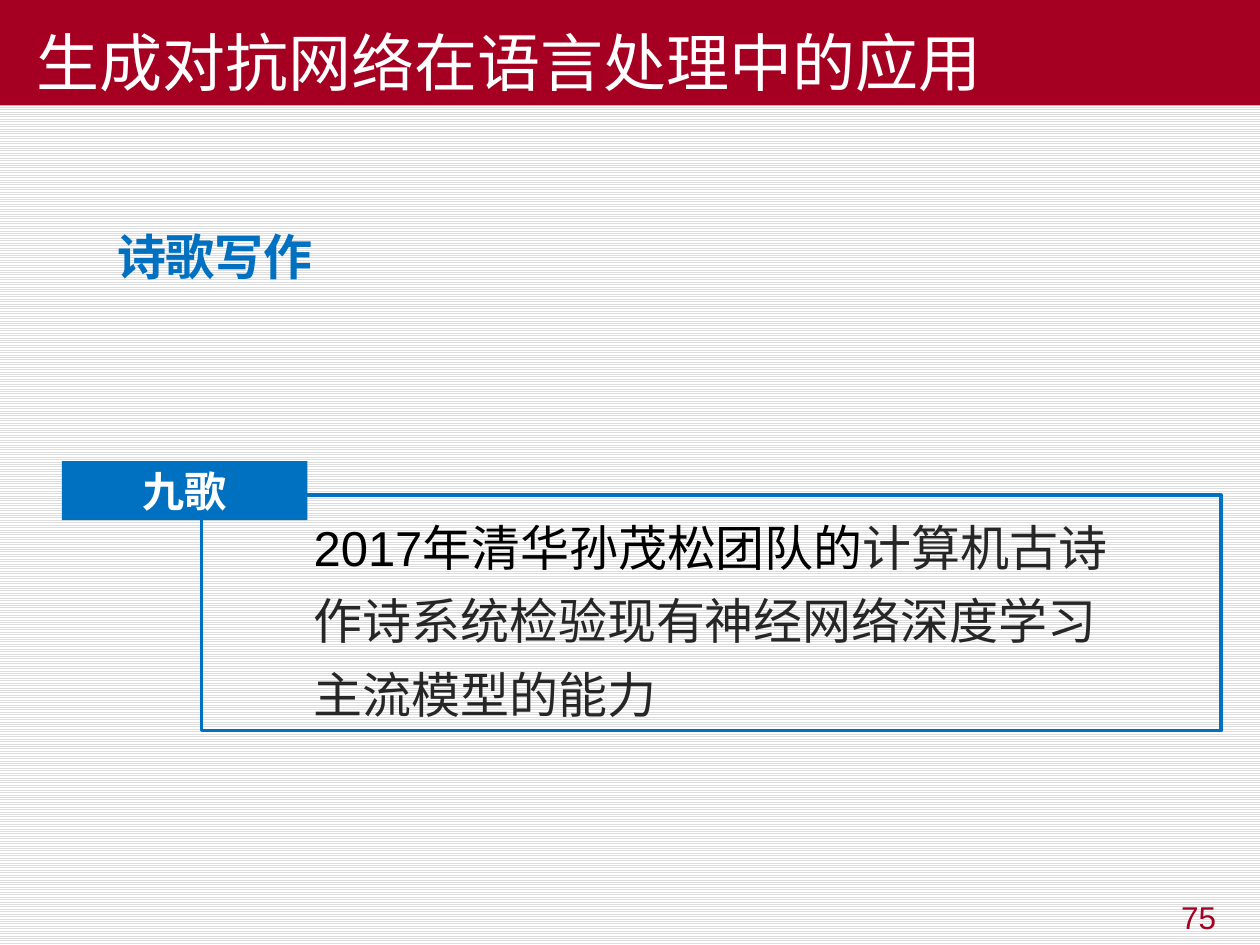
from dataclasses import dataclass

from lxml import etree
from pptx import Presentation
from pptx.dml import color as clr
from pptx.enum import dml, shapes, text
from pptx.oxml import ns
from pptx.util import Pt

HUES = {"red": "A50021", "blue": "0070C0", "white": "FFFFFF", "grey": "DDDDDD",
        "ink": "262626", "black": "000000"}
SANS, CJK, SERIF = "Arial", "Noto Sans CJK SC", "Times New Roman"
LEFT, MID, RIGHT = text.PP_ALIGN.LEFT, text.PP_ALIGN.CENTER, text.PP_ALIGN.RIGHT
TOP, CENTRE, BASE = (text.MSO_ANCHOR.TOP, text.MSO_ANCHOR.MIDDLE,
                     text.MSO_ANCHOR.BOTTOM)


@dataclass
class Box:
    """Place of a part, in points."""
    x: float
    y: float
    w: float
    h: float


@dataclass
class Style:
    size: float
    font: str
    hue: str
    bold: bool = False


def tint(name: str) -> clr.RGBColor:
    return clr.RGBColor.from_string(HUES[name])


def add_run(para, words: str, style: Style) -> None:
    run = para.add_run()
    run.text = words
    font = run.font
    font.size, font.name, font.bold = Pt(style.size), style.font, style.bold
    font.color.rgb = tint(style.hue)
    if style.font == CJK:
        etree.SubElement(run._r.get_or_add_rPr(), ns.qn("a:ea"), typeface=CJK)


def write(shape, lines: list, align=LEFT, anchor=TOP, inset: float = 0,
          pitch: float = 0) -> None:
    """Fill a shape with lines, each a list of (words, style) runs."""
    frame = shape.text_frame
    frame.word_wrap = True
    frame.auto_size = text.MSO_AUTO_SIZE.NONE
    frame.vertical_anchor = anchor
    for i, runs in enumerate(lines):
        para = frame.add_paragraph() if i else frame.paragraphs[0]
        para.alignment = align
        props = para._p.get_or_add_pPr()
        props.set("marL", str(Pt(inset)))
        props.set("indent", "0")
        if pitch:
            para.line_spacing = Pt(pitch)
        for words, style in runs:
            add_run(para, words, style)


def add_rect(slide, box: Box, fill: str = "", line: str = ""):
    rect = slide.shapes.add_shape(shapes.MSO_SHAPE.RECTANGLE, Pt(box.x),
                                  Pt(box.y), Pt(box.w), Pt(box.h))
    rect.shadow.inherit = False
    if fill:
        rect.fill.solid()
        rect.fill.fore_color.rgb = tint(fill)
    else:
        rect.fill.background()
    if line:
        rect.line.color.rgb = tint(line)
        rect.line.width = Pt(2)
    else:
        rect.line.fill.background()
    return rect


def add_label(slide, box: Box):
    return slide.shapes.add_textbox(Pt(box.x), Pt(box.y), Pt(box.w), Pt(box.h))


def main() -> None:
    deck = Presentation()
    deck.slide_width, deck.slide_height = Pt(720), Pt(540)
    slide = deck.slides.add_slide(deck.slide_layouts[5])

    # Striped background
    back = slide.background.fill
    back.patterned()
    back.pattern = dml.MSO_PATTERN.LIGHT_HORIZONTAL
    back.fore_color.rgb, back.back_color.rgb = tint("grey"), tint("white")

    # Title band
    title = slide.shapes.title
    title.left, title.top, title.width, title.height = Pt(0), Pt(0), Pt(720), Pt(60.3)
    title.fill.solid()
    title.fill.fore_color.rgb = tint("red")
    write(title, [[("生成对抗网络在语言处理中的应用", Style(36, SERIF, "white"))]],
          anchor=BASE, inset=13.7)

    # Page number
    write(add_label(slide, Box(545.8, 509.8, 156.2, 28)),
          [[("75", Style(18, SANS, "red"))]], RIGHT)

    # Framed description
    plain = Style(28, CJK, "ink")
    frame = add_rect(slide, Box(115.2, 283, 582.5, 134.6), line="blue")
    write(frame, [
        [("2017年清华孙茂松团队的", Style(28, SANS, "black")), ("计算机古诗", plain)],
        [("作诗系统检验现有神经网络深度学习", plain)],
        [("主流模型的能力", plain)],
    ], anchor=CENTRE, inset=56.9, pitch=42)

    # Name tag on the frame
    tag = add_rect(slide, Box(35.3, 263.5, 140.4, 33.8), fill="blue")
    write(tag, [[("九歌", Style(24, CJK, "white", True))]], MID, CENTRE)

    # Section heading
    write(add_label(slide, Box(59.8, 126, 542.9, 41)),
          [[("诗歌写作", Style(28, CJK, "blue", True))]])

    deck.save("out.pptx")


if __name__ == "__main__":
    main()
